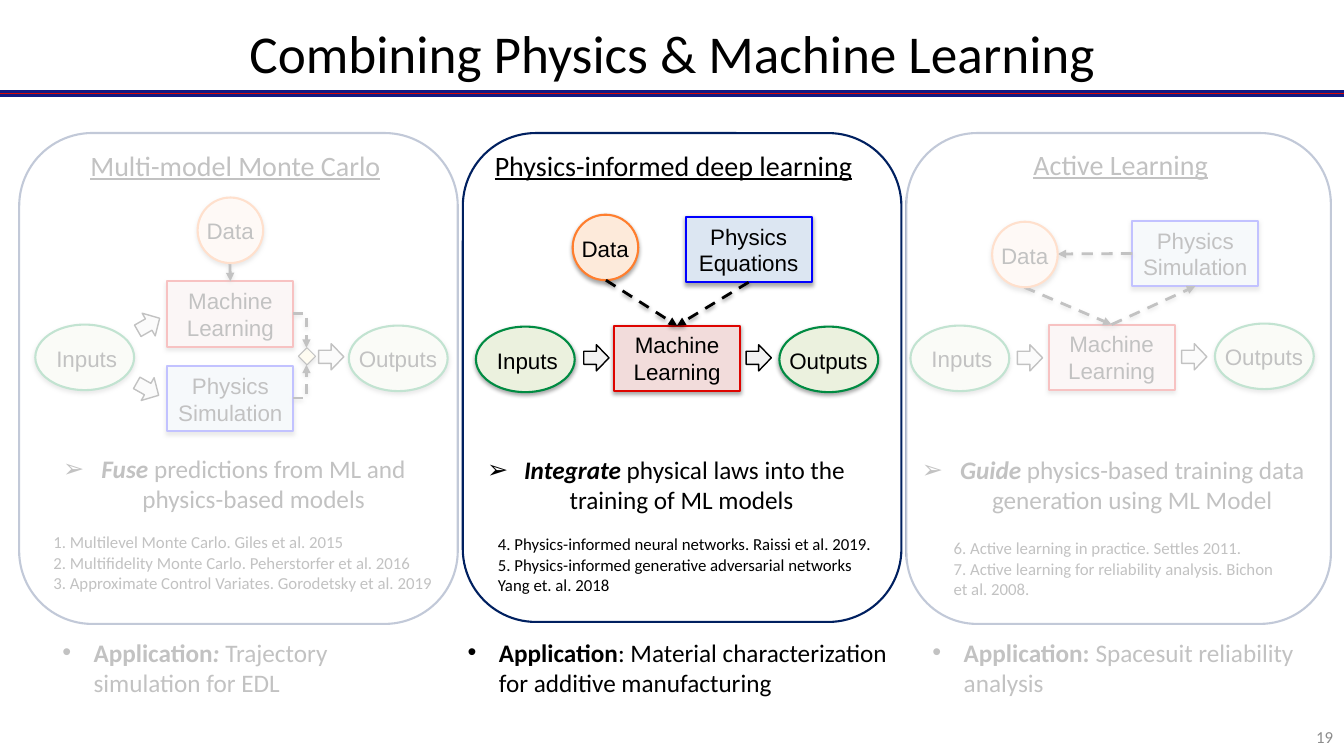
from lxml.etree import SubElement
from pptx import Presentation
from pptx.dml.color import RGBColor as Rgb
from pptx.enum.dml import MSO_LINE_DASH_STYLE as Dash
from pptx.enum.shapes import MSO_CONNECTOR as Link, MSO_SHAPE as Shape
from pptx.enum.text import MSO_ANCHOR as Anchor, PP_ALIGN as Align
from pptx.oxml.ns import qn
from pptx.util import Inches, Pt

COLORS = {
    "black": "000000", "white": "FFFFFF", "gray": "8C8C8C", "panel": "002060",
    "navy": "121981", "rule": "D40805", "arrow": "F2F2F2",
    "pink": "F2DCDB", "red": "DE0400", "pale": "DCE6F2", "blue": "0000FF",
    "peach": "FDEADA", "orange": "FF7E2E", "mint": "EBF1DE", "green": "008B42",
    "cream": "FFF6C8",
}
OVALS = {
    "Data": ("peach", "orange", 0.65, -0.01, 0.68),
    "Inputs": ("mint", "green", 0.98, 0.11, 0.81),
    "Outputs": ("mint", "green", 0.98, 0, 0.99),
}
BOXES = {"Machine Learning": ("pink", "red"),
         "Physics Equations": ("pale", "blue"),
         "Physics Simulation": ("pale", "blue")}


class SlideBuilder:
    def __init__(self, page):
        self.page = page

    def color(self, name):
        return Rgb.from_string(COLORS[name])

    def shadow(self, item, alpha, distance):
        effects = item._element.spPr.find(qn("a:effectLst"))
        outer = SubElement(effects, qn("a:outerShdw"), blurRad=str(Pt(3.1)),
                           dist=str(Pt(distance)), dir="5400000", rotWithShape="0")
        tone = SubElement(outer, qn("a:srgbClr"), val=COLORS["black"])
        SubElement(tone, qn("a:alpha"), val=str(alpha * 1000))

    def shape(self, kind, at, fill=None, line=None, width=1.5, shadow=False):
        item = self.page.shapes.add_shape(kind, *map(Inches, at))
        if fill:
            item.fill.solid()
            item.fill.fore_color.rgb = self.color(fill)
        else:
            item.fill.background()
        if line:
            item.line.color.rgb = self.color(line)
            item.line.width = Pt(width)
        else:
            item.line.fill.background()
        item.shadow.inherit = False
        if shadow:
            self.shadow(item, 35, 1.8)
        return item

    def span(self, para, text, size, face="Calibri", style="", color="black"):
        span = para.add_run()
        span.text = text
        font = span.font
        font.name, font.size = face, Pt(size)
        font.bold, font.italic = "b" in style, "i" in style
        font.underline = "u" in style
        font.color.rgb = self.color(color)

    def text(self, at, paras, size, face="Calibri", align=Align.LEFT, wrap=True,
             anchor=Anchor.TOP, color="black", bullet=None, indent=0):
        box = self.page.shapes.add_textbox(*map(Inches, at))
        frame = box.text_frame
        frame.word_wrap, frame.vertical_anchor = wrap, anchor
        for index, spans in enumerate(paras):
            para = frame.add_paragraph() if index else frame.paragraphs[0]
            para.alignment = align
            if bullet:
                props = para._p.get_or_add_pPr()
                props.set("marL", str(Inches(indent)))
                props.set("indent", str(-Inches(indent)))
                SubElement(props, qn("a:buFont"), typeface="Arial")
                SubElement(props, qn("a:buChar"), char=bullet)
            for words, style in spans:
                self.span(para, words, size, face, style, color)
        return box

    def box(self, label, x, y):
        fill, line = BOXES[label]
        item = self.shape(Shape.RECTANGLE, (x, y, 1.25, 0.65), fill, line, shadow=True)
        frame = item.text_frame
        frame.word_wrap, frame.vertical_anchor = True, Anchor.MIDDLE
        frame.margin_left = frame.margin_right = Inches(0.05)
        para = frame.paragraphs[0]
        para.alignment = Align.CENTER
        self.span(para, label, 16, "Arial")
        return item

    def oval(self, label, x, y):
        fill, line, width, shift, label_width = OVALS[label]
        self.shape(Shape.OVAL, (x, y, width, 0.65), fill, line, shadow=True)
        self.text((x + shift, y + 0.15, label_width, 0.37), [[(label, "")]], 16,
                  "Arial", wrap=False)

    def block_arrow(self, x, y, angle=0):
        item = self.shape(Shape.RIGHT_ARROW, (x, y, 0.25, 0.26), "arrow", "black", 1)
        item.rotation = angle

    def line(self, start, end, color="black", width=2, kind=Link.STRAIGHT):
        item = self.page.shapes.add_connector(kind, *map(Inches, start + end))
        item.line.color.rgb = self.color(color)
        item.line.width = Pt(width)
        SubElement(item._element.spPr, qn("a:effectLst"))
        return item

    def flow(self, start, end, source=None, target=None, width=2, kind=Link.STRAIGHT):
        item = self.line(start, end, width=width, kind=kind)
        item.line.dash_style = Dash.DASH
        SubElement(item.line._get_or_add_ln(), qn("a:tailEnd"), type="triangle")
        self.shadow(item, 38, 1.6)
        if kind == Link.ELBOW:
            item._element.spPr.find(qn("a:prstGeom")).set("prst", "bentConnector2")
        if source:
            item.begin_connect(*source)
        if target:
            item.end_connect(*target)

    def veil(self, at):
        item = self.shape(Shape.RECTANGLE, at, "white")
        tone = item._element.spPr.find(qn("a:solidFill"))[0]
        SubElement(tone, qn("a:alpha"), val="76000")


PANELS = [
    ((0.19, 1.32, 4.35, 4.87), (0.78, 1.42, 3.11, 0.44), "Multi-model Monte Carlo",
     (0.38, 4.45, 3.89, 0.71), 0.38,
     [("Fuse ", "bi"), ("predictions from ML and physics-based models", "")],
     (0.43, 5.23, 4.18, 0.69),
     ["1. Multilevel Monte Carlo. Giles et al. 2015",
      "2. Multifidelity Monte Carlo. Peherstorfer et al. 2016",
      "3. Approximate Control Variates. Gorodetsky et al. 2019"],
     (0.52, 6.27, 3.67, 0.71),
     [("Application", "b"), (": ", "bi"), ("Trajectory simulation for EDL", "")]),
    ((4.59, 1.32, 4.35, 4.85), (4.79, 1.42, 3.78, 0.44), "Physics-informed deep learning",
     (4.66, 4.46, 3.89, 0.71), 0.31,
     [(" ", ""), ("Integrate", "bi"), (" physical laws into the training of ML models", "")],
     (4.84, 5.25, 4.05, 0.71),
     ["4. Physics-informed neural networks. Raissi et al. 2019.",
      "5. Physics-informed generative adversarial networks Yang et. al. 2018"],
     (4.54, 6.27, 4.38, 0.71),
     [("Application", "b"), (": Material characterization for additive manufacturing", "")]),
    ((8.99, 1.32, 4.21, 4.87), (10.14, 1.41, 1.95, 0.44), "Active Learning",
     (8.94, 4.46, 4.2, 0.71), 0.38,
     [("Guide ", "bi"), ("physics-based training data generation using ML Model", "")],
     (9.36, 5.29, 3.44, 0.71),
     ["6. Active learning in practice. Settles 2011.",
      "7. Active learning for reliability analysis. Bichon et al. 2008."],
     (9.15, 6.27, 4.11, 0.71),
     [("Application:", "b"), (" Spacesuit reliability analysis", "")]),
]


def draw_monte_carlo(draw):
    draw.box("Physics Simulation", 1.66, 3.63)
    learning = draw.box("Machine Learning", 1.66, 2.79)
    draw.flow((2.28, 2.61), (2.28, 2.79), target=(learning, 0))
    draw.shape(Shape.DIAMOND, (2.96, 3.45, 0.17, 0.17), "cream", "black", 0.75, True)
    for label, x, y in (("Data", 1.96, 1.96), ("Outputs", 3.46, 3.23), ("Inputs", 0.35, 3.22)):
        draw.oval(label, x, y)
    for x, y, angle in ((1.35, 3.09, 330.2), (3.16, 3.41, 0), (1.34, 3.73, 29.5)):
        draw.block_arrow(x, y, angle)
    for start, end in (((2.91, 3.11), (3.04, 3.45)), ((2.91, 3.95), (3.04, 3.62))):
        draw.flow(start, end, width=1.75, kind=Link.ELBOW)


def draw_informed(draw):
    learning = draw.box("Machine Learning", 6.09, 3.23)
    equations = draw.box("Physics Equations", 6.8, 2.15)
    for label, x, y in (("Data", 5.68, 2.13), ("Outputs", 7.73, 3.24), ("Inputs", 4.72, 3.24)):
        draw.oval(label, x, y)
    draw.flow((7.42, 2.8), (6.71, 3.23), (equations, 2), (learning, 0))
    draw.flow((6.01, 2.78), (6.71, 3.23), target=(learning, 0))
    for x in (5.79, 7.4):
        draw.block_arrow(x, 3.42)


def draw_active(draw):
    learning = draw.box("Machine Learning", 10.4, 3.22)
    simulation = draw.box("Physics Simulation", 11.23, 2.19)
    draw.flow((11.23, 2.51), (10.49, 2.52), (simulation, 1))
    draw.flow((10.16, 2.85), (11.03, 3.22), target=(learning, 0))
    draw.flow((11.03, 3.22), (11.85, 2.84), (learning, 0), (simulation, 2))
    for label, x, y in (("Outputs", 12.05, 3.21), ("Inputs", 9.03, 3.23), ("Data", 9.84, 2.2)):
        draw.oval(label, x, y)
    for x, y in ((10.09, 3.42), (11.72, 3.41)):
        draw.block_arrow(x, y)


def main():
    deck = Presentation()
    deck.slide_width, deck.slide_height = Inches(13.33), Inches(7.5)
    draw = SlideBuilder(deck.slides.add_slide(deck.slide_layouts[6]))
    for color, width in (("navy", 5), ("rule", 1)):
        draw.line((0, 0.93), (13.33, 0.93), color, width)
    draw.text((0.92, -0.21, 11.5, 1.45), [[("Combining Physics & Machine Learning", "")]],
              38, align=Align.CENTER, anchor=Anchor.MIDDLE)
    draw.text((10.32, 7.11, 3, 0.4), [[("19", "")]], 12, align=Align.RIGHT,
              anchor=Anchor.MIDDLE, color="gray")
    for frame, head_at, head, idea_at, indent, idea, refs_at, refs, use_at, use in PANELS:
        draw.shape(Shape.ROUNDED_RECTANGLE, frame, line="panel")
        draw.text(head_at, [[(head, "u")]], 20, align=Align.CENTER, wrap=False)
        draw.text(idea_at, [idea], 18, align=Align.CENTER, bullet="➢", indent=indent)
        draw.text(refs_at, [[(ref, "")] for ref in refs], 12, wrap=len(refs) < 3)
        draw.text(use_at, [use], 18, bullet="•", indent=0.31)
    draw_monte_carlo(draw)
    draw_informed(draw)
    draw_active(draw)
    draw.veil((0.15, 1.18, 4.41, 5.79))
    draw.veil((8.98, 1.29, 4.34, 5.79))
    deck.save("out.pptx")


if __name__ == "__main__":
    main()
